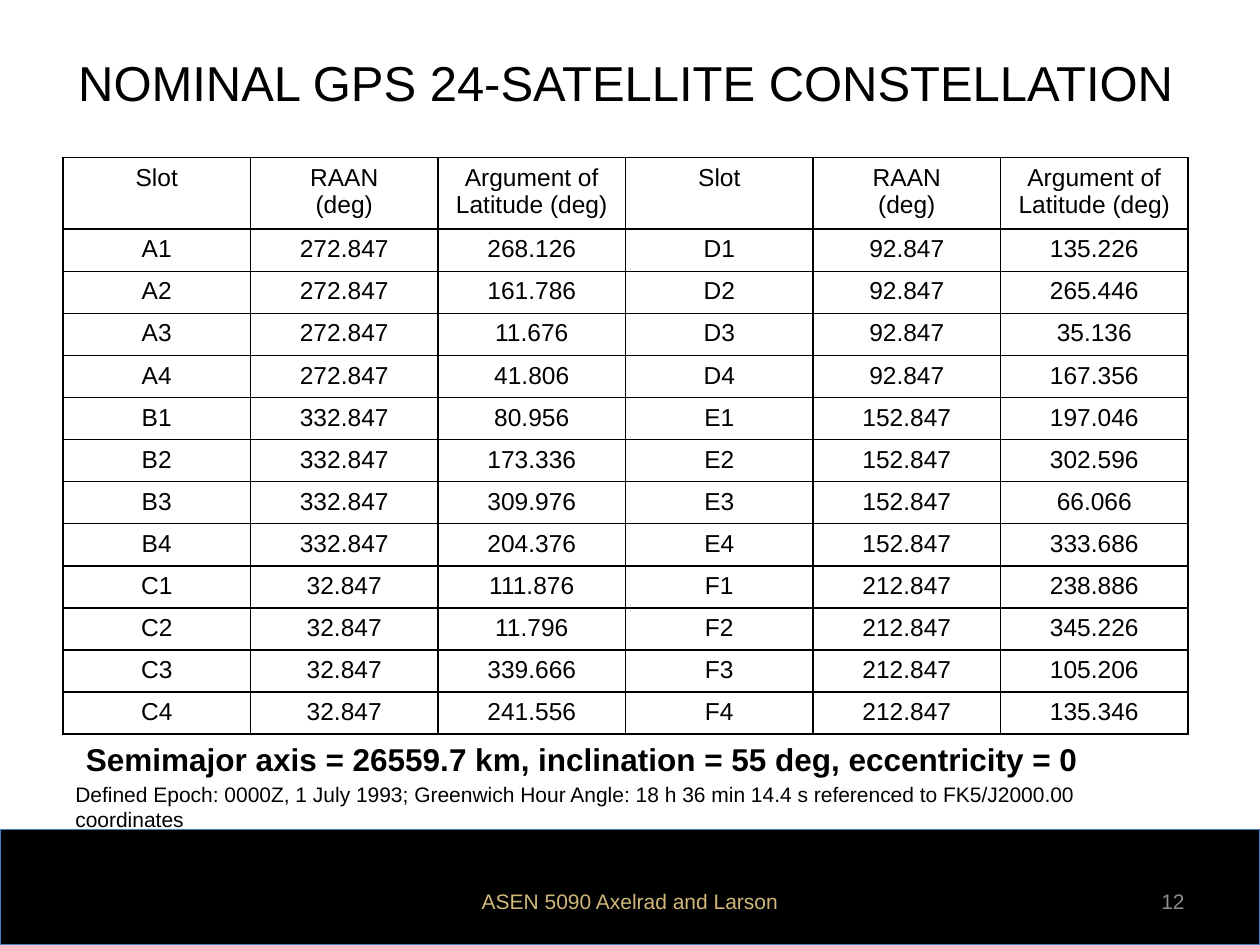
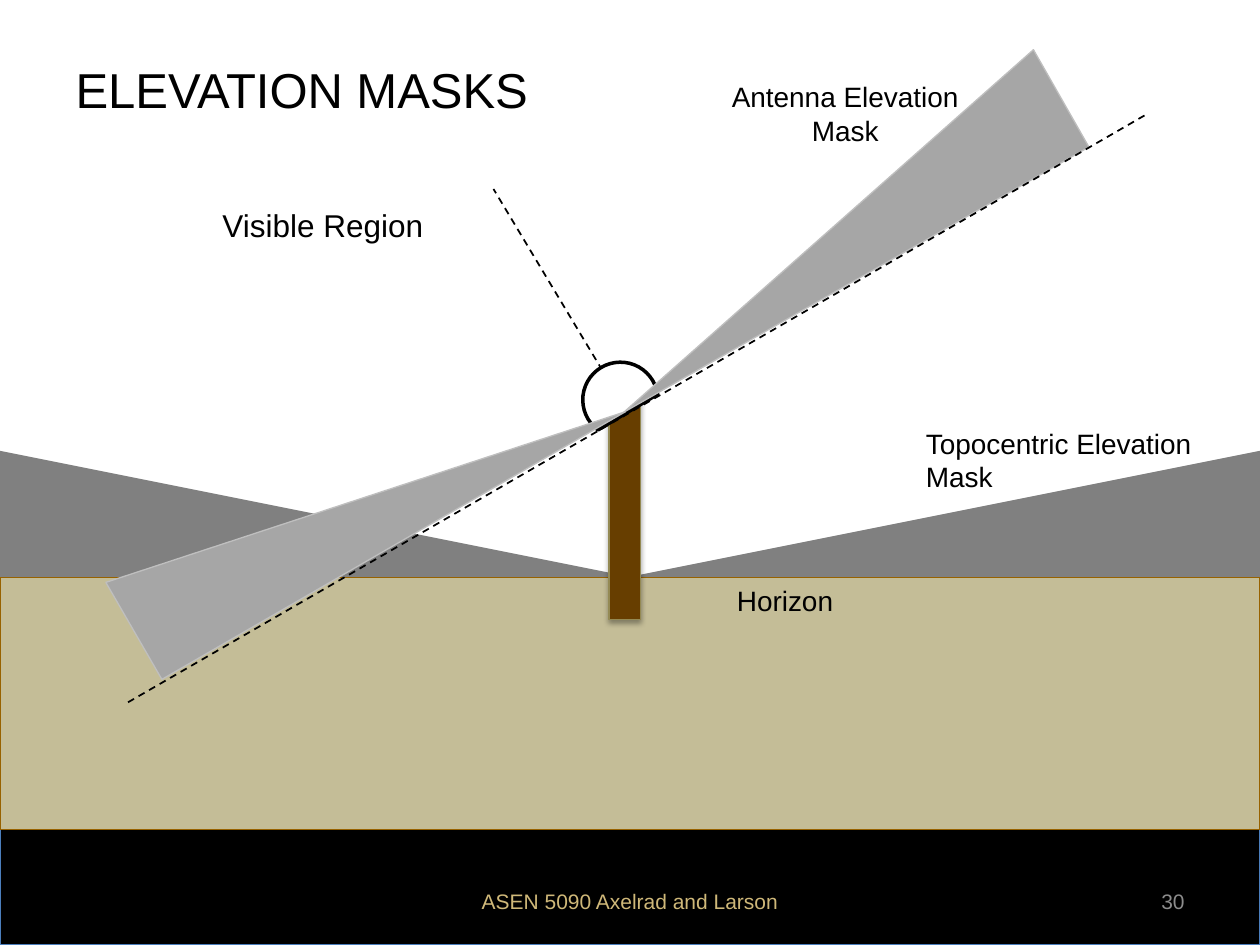
from collections import namedtuple
from dataclasses import dataclass

from lxml.etree import SubElement
from pptx import Presentation
from pptx.dml.color import RGBColor
from pptx.enum.dml import MSO_LINE
from pptx.enum.shapes import MSO_CONNECTOR, MSO_SHAPE as SHAPE
from pptx.enum.text import MSO_ANCHOR as ANCHOR, MSO_AUTO_SIZE, PP_ALIGN as ALIGN
from pptx.oxml.ns import qn
from pptx.util import Pt

Box = namedtuple("Box", "left top width height")


@dataclass(frozen=True)
class Theme:
    font: str = "Arial"
    black: str = "000000"
    white: str = "FFFFFF"
    band_edge: str = "4B7EBC"
    gold: str = "CFB879"
    page_gray: str = "8C8C8C"
    mountain: str = "808080"
    ground: str = "C4BD97"
    ground_edge: str = "976200"
    pole: str = "673E00"
    pole_edge: str = "948A54"
    mask: str = "A6A6A6"
    mask_edge: str = "BFBFBF"
    title: int = 28
    large: int = 18
    label: int = 16
    cell: int = 14
    small: int = 12
    hairline: float = 0.75


THEME = Theme()
SLIDE = Box(0, 0, 720, 540)
BAND = Box(0, 474, 720, 66)
SCENE = Box(0, 0, 720, 474)

# Argument of latitude (deg) of the four slots in each orbital plane
PLANES = {
    "A": (268.126, 161.786, 11.676, 41.806),
    "B": (80.956, 173.336, 309.976, 204.376),
    "C": (111.876, 11.796, 339.666, 241.556),
    "D": (135.226, 265.446, 35.136, 167.356),
    "E": (197.046, 302.596, 66.066, 333.686),
    "F": (238.886, 345.226, 105.206, 135.346),
}
FIRST_RAAN, PLANE_SPACING = 272.847, 60
HEADINGS = ("Slot", "RAAN\n(deg)", "Argument of Latitude (deg)")


def rgb(color):
    return RGBColor.from_string(color)


def points(box):
    return [Pt(length) for length in box]


def inside(box, left, top, width, height):
    """Turn a place measured from the box's corner into a place on the slide."""
    return Box(box.left + left, box.top + top, width, height)


def write(frame, text, size, color=THEME.black, align=ALIGN.LEFT, bold=False):
    for index, line in enumerate(text.split("\n")):
        paragraph = frame.add_paragraph() if index else frame.paragraphs[0]
        paragraph.alignment = align
        run = paragraph.add_run()
        run.text = line
        run.font.name = THEME.font
        run.font.size = Pt(size)
        run.font.bold = bold
        run.font.color.rgb = rgb(color)


def add_label(slide, box, text, size, anchor=ANCHOR.TOP, wrap=True, **style):
    frame = slide.shapes.add_textbox(*points(box)).text_frame
    frame.word_wrap = wrap
    frame.vertical_anchor = anchor
    write(frame, text, size, **style)


def add_figure(slide, kind, box, fill, edge, weight=THEME.hairline,
               rotation=0, flip=False, shadow=False):
    figure = slide.shapes.add_shape(kind, *points(box))
    figure.rotation = rotation
    figure.fill.solid()
    figure.fill.fore_color.rgb = rgb(fill)
    figure.line.color.rgb = rgb(edge)
    figure.line.width = Pt(weight)
    figure.shadow.inherit = False
    properties = figure.element.spPr
    if flip:
        properties.find(qn("a:xfrm")).set("flipH", "1")
    if shadow:
        effects = properties.find(qn("a:effectLst"))
        outer = SubElement(effects, qn("a:outerShdw"), blurRad="40000",
                           dist="23000", dir="5400000", rotWithShape="0")
        tint = SubElement(outer, qn("a:srgbClr"), val=THEME.black)
        SubElement(tint, qn("a:alpha"), val="35000")


def add_dashed_line(slide, box, start, end):
    ends = [Pt(corner + offset) for point in (start, end)
            for corner, offset in zip((box.left, box.top), point)]
    line = slide.shapes.add_connector(MSO_CONNECTOR.STRAIGHT, *ends)
    line.line.color.rgb = rgb(THEME.black)
    line.line.width = Pt(1)
    line.line.dash_style = MSO_LINE.DASH
    SubElement(line.element.spPr, qn("a:effectLst"))


def add_footer(slide, box, page):
    add_figure(slide, SHAPE.RECTANGLE, box, THEME.black, THEME.band_edge, shadow=True)
    add_label(slide, inside(box, 246, 26.5, 228, 28.75), "ASEN 5090 Axelrad and Larson",
              THEME.small, ANCHOR.MIDDLE, color=THEME.gold, align=ALIGN.CENTER)
    add_label(slide, inside(box, 516, 26.5, 168, 28.75), str(page),
              THEME.small, ANCHOR.MIDDLE, color=THEME.page_gray, align=ALIGN.RIGHT)


def start_slide(deck, title, title_box, page):
    """Add a title-only slide with its title and footer band."""
    slide = deck.slides.add_slide(deck.slide_layouts[5])
    heading = slide.shapes.title
    heading.left, heading.top, heading.width, heading.height = points(title_box)
    frame = heading.text_frame
    frame.auto_size = MSO_AUTO_SIZE.NONE
    frame.word_wrap = True
    frame.vertical_anchor = ANCHOR.MIDDLE
    write(frame, title, THEME.title)
    add_footer(slide, BAND, page)
    return slide


def constellation_rows():
    """Yield the headings, then planes A-C beside planes D-F."""
    yield HEADINGS * 2
    slots = [(f"{plane}{number}",
              f"{(FIRST_RAAN + PLANE_SPACING * order) % 360:.3f}",
              f"{argument:.3f}")
             for order, (plane, arguments) in enumerate(PLANES.items())
             for number, argument in enumerate(arguments, 1)]
    half = len(slots) // 2
    for left, right in zip(slots[:half], slots[half:]):
        yield left + right


def format_cell(cell, text):
    cell.fill.solid()
    cell.fill.fore_color.rgb = rgb(THEME.white)
    write(cell.text_frame, text, THEME.cell, align=ALIGN.CENTER)
    properties = cell._tc.get_or_add_tcPr()
    for index, side in enumerate(("lnL", "lnR", "lnT", "lnB")):
        border = SubElement(properties, qn(f"a:{side}"), w=str(Pt(1)))
        paint = SubElement(border, qn("a:solidFill"))
        SubElement(paint, qn("a:srgbClr"), val=THEME.black)
        properties.insert(index, border)


def add_constellation_table(slide, box, heading_height=41):
    rows = list(constellation_rows())
    columns = len(rows[0])
    table = slide.shapes.add_table(len(rows), columns, *points(box)).table
    table.first_row = table.horz_banding = False
    for column in table.columns:
        column.width = Pt(box.width / columns)
    slot_height = (box.height - heading_height) / (len(rows) - 1)
    for index, row in enumerate(rows):
        table.rows[index].height = Pt(slot_height if index else heading_height)
        for place, text in enumerate(row):
            format_cell(table.cell(index, place), text)


def add_orbit_notes(slide, box):
    add_label(slide, inside(box, 6, 0, 581, 29),
              "Semimajor axis = 26559.7 km, inclination = 55 deg, eccentricity = 0",
              THEME.large, wrap=False, bold=True)
    add_label(slide, inside(box, 0, 30.5, box.width, 21.5),
              "Defined Epoch: 0000Z, 1 July 1993; Greenwich Hour Angle: "
              "18 h 36 min 14.4 s referenced to FK5/J2000.00 coordinates",
              THEME.small, ANCHOR.MIDDLE)


def add_landscape(slide, box, horizon=330, mountain_height=72):
    half = box.width / 2
    for side in (0, 1):
        mountain = inside(box, side * half, horizon - mountain_height,
                          half, mountain_height)
        add_figure(slide, SHAPE.RIGHT_TRIANGLE, mountain, THEME.mountain,
                   THEME.mountain, flip=bool(side))
    add_figure(slide, SHAPE.RECTANGLE,
               inside(box, 0, horizon, box.width, box.height - horizon),
               THEME.ground, THEME.ground_edge)


def add_antenna(slide, box):
    add_figure(slide, SHAPE.RECTANGLE, inside(box, 348, 228, 18, 126),
               THEME.pole, THEME.pole_edge, shadow=True)
    add_dashed_line(slide, box, (358.5, 235.5), (282, 108))
    add_figure(slide, SHAPE.CHORD, inside(box, 333, 207, 43, 43),
               THEME.white, THEME.black, weight=2, rotation=81.6)
    for left, top, rotation, flip in ((320.5, 100, 330.3, True), (56, 252, 330, False)):
        add_figure(slide, SHAPE.RIGHT_TRIANGLE, inside(box, left, top, 306, 64),
                   THEME.mask, THEME.mask_edge, rotation=rotation, flip=flip)
    add_dashed_line(slide, box, (654, 66), (72, 402))


def add_scene_labels(slide, box):
    add_label(slide, inside(box, 414, 330, 96, 26.5), "Horizon", THEME.label)
    add_label(slide, inside(box, 522, 240, 186, 46),
              "Topocentric Elevation Mask", THEME.label)
    add_label(slide, inside(box, 396, 42, 174, 46),
              "Antenna Elevation Mask", THEME.label, align=ALIGN.CENTER)
    add_label(slide, inside(box, 120, 114, 168, 29), "Visible Region", THEME.large)


def build_constellation_slide(deck):
    slide = start_slide(deck, "NOMINAL GPS 24-SATELLITE CONSTELLATION",
                        Box(37.5, 6, 650, 82), 12)
    add_constellation_table(slide, Box(36, 90, 643, 329))
    add_orbit_notes(slide, Box(36, 419.5, 643, 52))


def build_elevation_slide(deck):
    slide = start_slide(deck, "ELEVATION MASKS", Box(36, 6, 648, 90), 30)
    add_landscape(slide, SCENE)
    add_antenna(slide, SCENE)
    add_scene_labels(slide, SCENE)


def main():
    deck = Presentation()
    deck.slide_width, deck.slide_height = Pt(SLIDE.width), Pt(SLIDE.height)
    build_constellation_slide(deck)
    build_elevation_slide(deck)
    deck.save("out.pptx")


if __name__ == "__main__":
    main()
